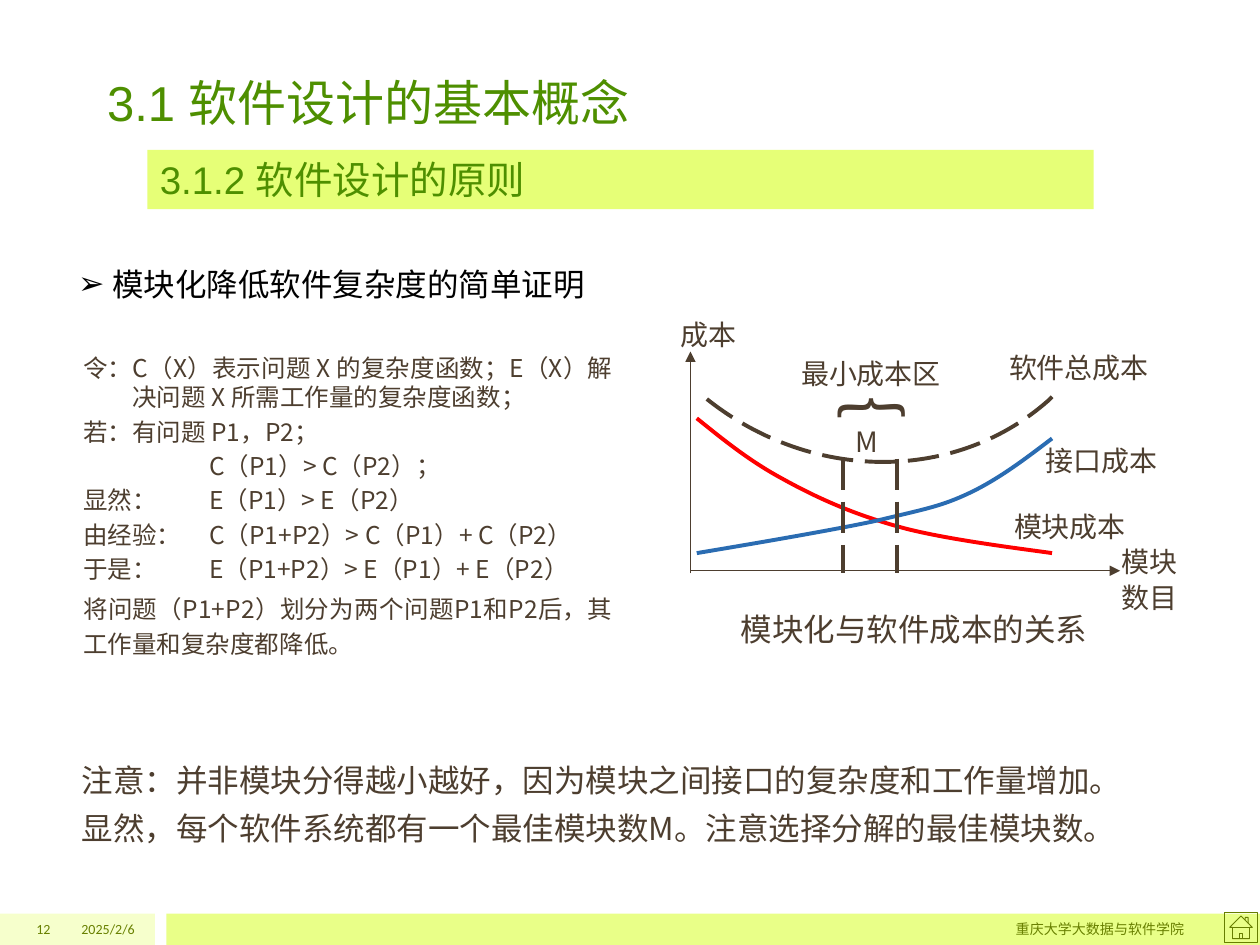
from dataclasses import dataclass
from typing import Any

from lxml.etree import SubElement
from pptx import Presentation
from pptx.dml.color import RGBColor
from pptx.enum.dml import MSO_LINE
from pptx.enum.shapes import MSO_CONNECTOR, MSO_SHAPE
from pptx.enum.text import MSO_ANCHOR, PP_ALIGN
from pptx.oxml.ns import qn
from pptx.util import Inches, Pt

TITLE_GREEN = RGBColor(0x4E, 0x8F, 0x00)
FOOTER_GREEN = RGBColor(0x68, 0x80, 0x00)
ICON_GREEN = RGBColor(0x67, 0x7E, 0x00)
PALE_LIME = RGBColor(0xF6, 0xFF, 0xCC)
LIME = RGBColor(0xE9, 0xFF, 0x88)
BANNER_LIME = RGBColor(0xE6, 0xFF, 0x77)
BROWN = RGBColor(0x4D, 0x3E, 0x2F)
BLACK = RGBColor(0, 0, 0)
RED = RGBColor(0xFF, 0, 0)
BLUE = RGBColor(0x2A, 0x6C, 0xB2)


def set_indent(paragraph, left, first, bullet=None):
    properties = paragraph._p.get_or_add_pPr()
    properties.set("marL", str(Inches(left)))
    properties.set("indent", str(Inches(first)))
    if bullet:
        SubElement(properties, qn("a:buFont"), typeface="Arial")
        SubElement(properties, qn("a:buChar"), char=bullet)


def bend_segments(shape):
    """Turn every three straight segments into one cubic curve."""
    segments = list(shape._element.iter(qn("a:lnTo")))
    for index in range(0, len(segments), 3):
        triple = segments[index:index + 3]
        outline = triple[0].getparent()
        cubic = SubElement(outline, qn("a:cubicBezTo"))
        for segment in triple:
            cubic.append(segment[0])
            outline.remove(segment)


@dataclass
class SlideWriter:
    slide: Any
    latin: str = "Noto Sans CJK SC"
    east_asian: str = "Noto Sans CJK SC"

    def run(self, paragraph, wording, size, color, latin=None):
        run = paragraph.add_run()
        run.text = wording
        run.font.size = Pt(size)
        run.font.color.rgb = color
        run.font.name = latin or self.latin
        SubElement(run._r.get_or_add_rPr(), qn("a:ea"), typeface=self.east_asian)

    def frame(self, shape, anchor=MSO_ANCHOR.MIDDLE, side=0.1, top=0, bottom=0):
        frame = shape.text_frame
        frame.word_wrap = True
        frame.vertical_anchor = anchor
        frame.margin_left = frame.margin_right = Inches(side)
        frame.margin_top, frame.margin_bottom = Inches(top), Inches(bottom)
        return frame

    def title(self, box, wording):
        title = self.slide.shapes.title
        title.left, title.top, title.width, title.height = map(Inches, box)
        paragraph = self.frame(title, MSO_ANCHOR.BOTTOM, bottom=0.05).paragraphs[0]
        paragraph.alignment = PP_ALIGN.LEFT
        self.run(paragraph, wording, 28, TITLE_GREEN, "Arial")

    def block(self, box, fill=None, line=None, kind=MSO_SHAPE.RECTANGLE):
        shape = self.slide.shapes.add_shape(kind, *map(Inches, box))
        shape.shadow.inherit = False
        if fill is None:
            shape.fill.background()
        else:
            shape.fill.solid()
            shape.fill.fore_color.rgb = fill
        if line is None:
            shape.line.fill.background()
        else:
            shape.line.color.rgb = line
            shape.line.width = Pt(0.5)
        return shape

    def label(self, box, wording, size=16, color=BROWN, align=PP_ALIGN.LEFT,
              latin=None, rotation=0, indent=0):
        shape = self.slide.shapes.add_textbox(*map(Inches, box))
        shape.rotation = rotation
        paragraph = self.frame(shape).paragraphs[0]
        if indent:
            set_indent(paragraph, indent, 0)
        paragraph.alignment = align
        self.run(paragraph, wording, size, color, latin)

    def passage(self, box, lines, size, spacing, space_before, side=0.07, top=0.04,
                align=PP_ALIGN.JUSTIFY):
        """Multi-line text; lines are (wording, left indent, first-line indent)."""
        shape = self.slide.shapes.add_textbox(*map(Inches, box))
        frame = self.frame(shape, MSO_ANCHOR.TOP, side=side, top=top, bottom=top)
        for index, (wording, left, first) in enumerate(lines):
            paragraph = frame.add_paragraph() if index else frame.paragraphs[0]
            set_indent(paragraph, left, first)
            paragraph.alignment = align
            paragraph.line_spacing = spacing
            paragraph.space_before = Pt(space_before if index else 0)
            self.run(paragraph, wording, size, BROWN)
        return frame

    def line(self, start, end, width, arrow=False, dashed=False):
        connector = self.slide.shapes.add_connector(
            MSO_CONNECTOR.STRAIGHT, *map(Inches, (*start, *end)))
        connector.line.color.rgb = BROWN
        connector.line.width = Pt(width)
        if dashed:
            connector.line.dash_style = MSO_LINE.LONG_DASH
        if arrow:
            SubElement(connector.line._get_or_add_ln(), qn("a:tailEnd"), type="triangle")
        SubElement(connector._element.spPr, qn("a:effectLst"))

    def curve(self, start, controls, color, dashed=False):
        """Smooth line; every three controls make one cubic segment."""
        points = [(Inches(x), Inches(y)) for x, y in (start, *controls)]
        builder = self.slide.shapes.build_freeform(*points[0])
        builder.add_line_segments(points[1:], close=False)
        shape = builder.convert_to_shape()
        bend_segments(shape)
        shape.shadow.inherit = False
        shape.fill.background()
        shape.line.color.rgb = color
        shape.line.width = Pt(2.25)
        if dashed:
            shape.line.dash_style = MSO_LINE.LONG_DASH


def add_footer(writer):
    writer.block((0, 7.25, 1.23, 0.25), PALE_LIME)
    writer.block((1.32, 7.25, 8.68, 0.25), LIME)
    writer.block((9.72, 7.24, 0.26, 0.24), line=ICON_GREEN, kind=MSO_SHAPE.ACTION_BUTTON_HOME)
    for left, width, wording in ((0.5, 0.67, "2025/2/6"),
                                 (2, 7.5, "重庆大学大数据与软件学院"),
                                 (0, 0.5, "12")):
        writer.label((left, 7.25, width, 0.25), wording, 8, FOOTER_GREEN,
                     PP_ALIGN.RIGHT, "Calibri")


def add_headings(writer):
    writer.title((0.75, 0.38, 8.51, 0.71), "3.1 软件设计的基本概念")
    banner = writer.block((1.17, 1.19, 7.51, 0.47), BANNER_LIME)
    section = writer.frame(banner).paragraphs[0]
    section.alignment = PP_ALIGN.LEFT
    writer.run(section, "3.1.2 软件设计的原则", 22, TITLE_GREEN, "Arial")

    topic_box = writer.slide.shapes.add_textbox(*map(Inches, (0.55, 2.06, 5.39, 0.38)))
    topic = writer.frame(topic_box, side=0.07).paragraphs[0]
    set_indent(topic, 0.27, -0.27, bullet="➢")
    writer.run(topic, "模块化降低软件复杂度的简单证明", 18, BLACK)


def add_proof(writer):
    steps = [("令：C（X）表示问题 X 的复杂度函数；E（X）解决问题 X 所需工作量的复杂度函数；",
              0.39, -0.39),
             ("若：有问题 P1，P2；", 0, 0),
             ("C（P1）> C（P2）；", 1, 0),
             ("显然：\tE（P1）> E（P2）", 0, 0),
             ("由经验：\tC（P1+P2）> C（P1）+ C（P2）", 0, 0),
             ("于是：\tE（P1+P2）> E（P1）+ E（P2）", 0, 0),
             ("将问题（P1+P2）划分为两个问题P1和P2后，其工作量和复杂度都降低。", 0, 0)]
    proof = writer.passage((0.59, 2.76, 4.34, 2.55), steps, 14, 1.0, 2.8)
    proof.paragraphs[-1].line_spacing = 1.2

    notes = ["注意：并非模块分得越小越好，因为模块之间接口的复杂度和工作量增加。",
             "显然，每个软件系统都有一个最佳模块数M。注意选择分解的最佳模块数。"]
    writer.passage((0.23, 5.97, 9.38, 0.8), [(note, 0, 0.35) for note in notes],
                   18, 1.1, 3.6)


def add_cost_diagram(writer):
    writer.line((5.48, 4.55), (5.48, 2.79), 1, arrow=True)
    writer.line((5.48, 4.53), (8.89, 4.53), 0.75, arrow=True)
    writer.curve((8.35, 3.15), [(8.34, 3.16), (8.33, 3.17), (8.32, 3.18),
                                (7.56, 3.85), (6.38, 3.83), (5.54, 3.11)],
                 BROWN, dashed=True)
    writer.curve((5.53, 3.32), [(5.74, 3.49), (5.95, 3.66), (6.21, 3.8),
                                (6.48, 3.95), (6.77, 4.08), (7.13, 4.18),
                                (7.48, 4.28), (8.14, 4.36), (8.35, 4.39)], RED)
    writer.curve((8.35, 3.48), [(8.14, 3.64), (7.93, 3.8), (7.7, 3.91),
                                (7.47, 4.02), (7.34, 4.04), (6.97, 4.13),
                                (6.61, 4.21), (5.77, 4.35), (5.53, 4.39)], BLUE)
    for zone_edge in (6.69, 7.12):
        writer.line((zone_edge, 3.64), (zone_edge, 4.55), 2.25, dashed=True)

    for left, top, width, wording in ((7.91, 2.73, 1.59, "软件总成本"),
                                      (5.3, 2.47, 1.01, "成本"),
                                      (7.95, 3.99, 1.23, "模块成本"),
                                      (8.2, 3.47, 1.3, "接口成本"),
                                      (6.26, 2.78, 1.62, "最小成本区"),
                                      (6.69, 3.32, 0.51, "M")):
        writer.label((left, top, width, 0.37), wording)
    writer.label((6.65, 2.83, 0.43, 0.77), "}", 40, rotation=269.3)
    writer.passage((8.8, 4.27, 0.68, 0.67), [("模块", 0, 0), ("数目", 0, 0)],
                   16, 1.0, 1.6, side=0.1, top=0.05, align=PP_ALIGN.LEFT)
    writer.label((5.56, 4.79, 3.83, 0.4), "模块化与软件成本的关系", 18, indent=0.22)


def main():
    deck = Presentation()
    deck.slide_width, deck.slide_height = Inches(10), Inches(7.5)
    writer = SlideWriter(deck.slides.add_slide(deck.slide_layouts[5]))
    add_footer(writer)
    add_headings(writer)
    add_proof(writer)
    add_cost_diagram(writer)
    deck.save("out.pptx")


if __name__ == "__main__":
    main()
